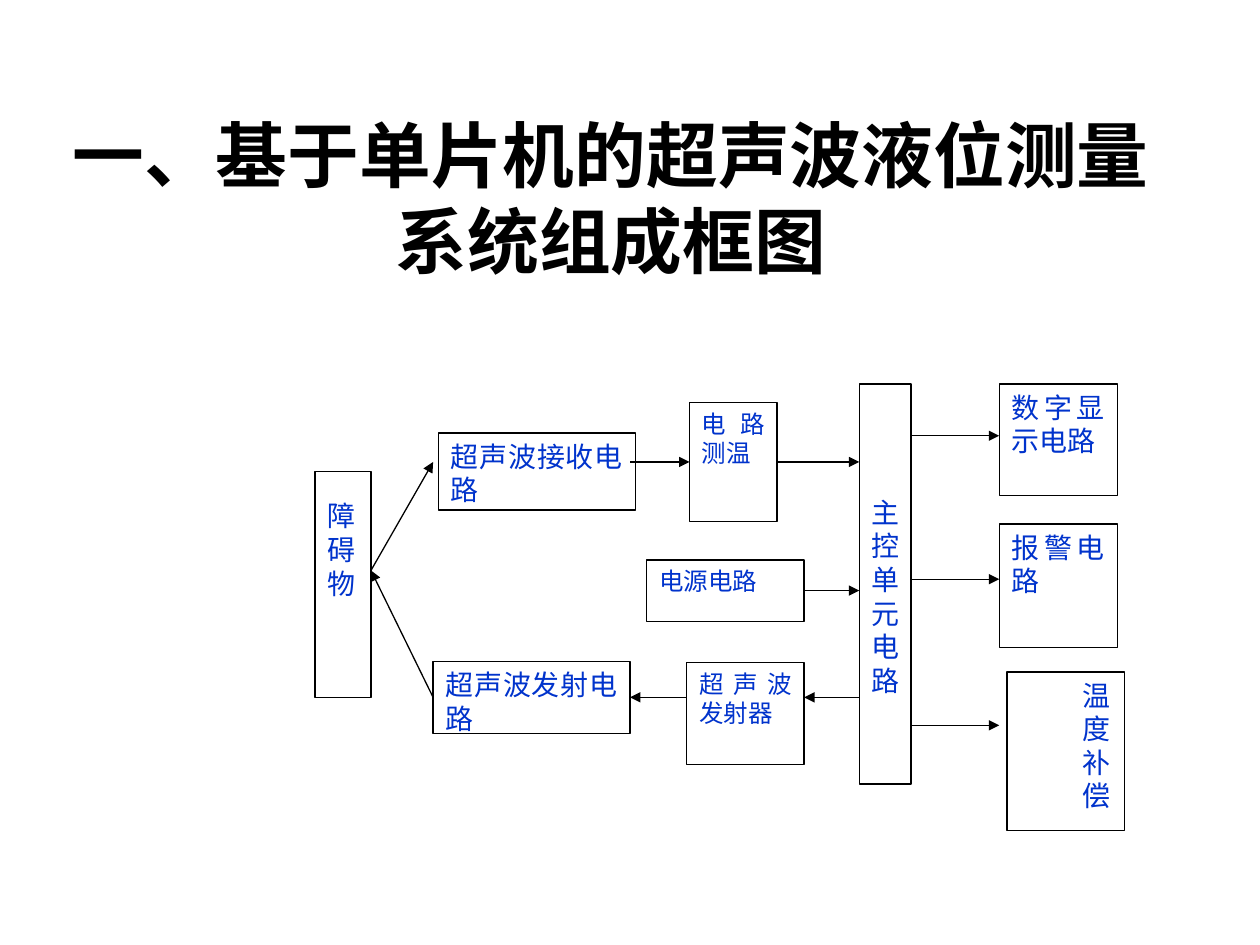
import pptx
import pptx.util
import pptx.dml.color
import pptx.enum.shapes
import pptx.enum.text
import pptx.oxml.ns
from lxml import etree

Pt = pptx.util.Pt
ALIGN = pptx.enum.text.PP_ALIGN
BLACK = pptx.dml.color.RGBColor(0, 0, 0)
WHITE = pptx.dml.color.RGBColor(255, 255, 255)
BLUE = pptx.dml.color.RGBColor(0x00, 0x33, 0xCC)
CJK = "Noto Sans CJK SC"
LEFT, RIGHT = 1, 3  # connection sites of a rectangle


def add_element(parent, tag, **attributes):
    return etree.SubElement(parent, pptx.oxml.ns.qn(tag), attributes)


class Diagram:
    """Holds the style and the slide being drawn."""

    line_width = Pt(0.75)

    def __init__(self, slide):
        self.slide = slide

    def label(self, frame, text, size, font, color, align, bold=False):
        frame.word_wrap = True
        frame.margin_left = frame.margin_right = Pt(7.2)
        frame.margin_top = frame.margin_bottom = Pt(3.6)
        paragraph = frame.paragraphs[0]
        paragraph.text = text
        paragraph.alignment = align
        run = paragraph.runs[0]
        run.font.size = Pt(size)
        run.font.name = font
        run.font.bold = bold
        run.font.color.rgb = color
        add_element(run._r.get_or_add_rPr(), "a:ea", typeface=CJK)

    def title(self, text, left, top, width, height):
        box = self.slide.shapes.add_textbox(Pt(left), Pt(top), Pt(width), Pt(height))
        frame = box.text_frame
        self.label(frame, text, 41, "Arial", BLACK, ALIGN.CENTER, bold=True)
        frame.vertical_anchor = pptx.enum.text.MSO_ANCHOR.MIDDLE

    def block(self, text, left, top, width, height, size=16, font="Calibri",
              align=ALIGN.JUSTIFY, drop=0, indent=0):
        box = self.slide.shapes.add_shape(
            pptx.enum.shapes.MSO_SHAPE.FLOWCHART_PROCESS,
            Pt(left), Pt(top), Pt(width), Pt(height))
        box.shadow.inherit = False
        box.fill.solid()
        box.fill.fore_color.rgb = WHITE
        box.line.color.rgb = BLACK
        box.line.width = self.line_width
        frame = box.text_frame
        self.label(frame, text, size, font, BLUE, align)
        frame.vertical_anchor = pptx.enum.text.MSO_ANCHOR.TOP
        frame.margin_top = Pt(3.6 + drop)
        if indent:
            properties = frame.paragraphs[0]._p.get_or_add_pPr()
            properties.set("marL", str(Pt(indent)))
            properties.set("indent", "0")
        return box

    def arrow(self, x1, y1, x2, y2, begin=None, end=None):
        """begin and end are optional (block, side) pairs to join."""
        line = self.slide.shapes.add_connector(
            pptx.enum.shapes.MSO_CONNECTOR.STRAIGHT, Pt(x1), Pt(y1), Pt(x2), Pt(y2))
        line.line.color.rgb = BLACK
        line.line.width = self.line_width
        properties = line._element.spPr
        add_element(properties.find(pptx.oxml.ns.qn("a:ln")), "a:tailEnd", type="triangle")
        add_element(properties, "a:effectLst")
        if begin:
            line.begin_connect(*begin)
        if end:
            line.end_connect(*end)


def main():
    deck = pptx.Presentation()
    deck.slide_width, deck.slide_height = Pt(720), Pt(540)
    diagram = Diagram(deck.slides.add_slide(deck.slide_layouts[6]))

    # Heading
    diagram.title("一、基于单片机的超声波液位测量系统组成框图", 19.5, 83, 659.5, 59)

    # Obstacle and ultrasonic path
    diagram.block("障碍物", 180, 269.5, 32, 129, drop=12)
    diagram.block("超声波接收电路", 250.5, 247.5, 112.5, 44, font=CJK)
    transmitter = diagram.block("超声波发射电路", 247.5, 378, 112.5, 41)
    thermometer = diagram.block("电路测温", 394, 230, 50, 68, size=14)
    power = diagram.block("电源电路", 369.5, 320, 90, 35, size=14)
    diagram.block("超声波发射器", 392.5, 378.5, 67, 58.5, size=14)

    # Controller and its outputs
    diagram.block("主控单元电路", 491, 219.5, 29.5, 228.5, drop=60)
    diagram.block("数字显示电路", 571, 219.5, 67.5, 63.5)
    diagram.block("报警电路", 571, 299.5, 67.5, 70.5)
    diagram.block("温度补偿", 575.5, 384, 67, 90.5, font="Arial",
                  align=ALIGN.LEFT, indent=36)

    # Receiving row and power supply
    receive_y, power_y, send_y, echo_y = 264, 337.5, 398.5, 326
    diagram.arrow(212, echo_y, 247.5, receive_y)
    diagram.arrow(360, receive_y, 394, receive_y, end=(thermometer, LEFT))
    diagram.arrow(444, receive_y, 491, receive_y, begin=(thermometer, RIGHT))
    diagram.arrow(459.5, power_y, 491, power_y, begin=(power, RIGHT))

    # Controller outputs
    for output_y in (249, 331, 414.5):
        diagram.arrow(520.5, output_y, 571, output_y)

    # Sending row, back to the obstacle
    diagram.arrow(491, send_y, 459.5, send_y)
    diagram.arrow(392.5, send_y, 360, send_y, end=(transmitter, RIGHT))
    diagram.arrow(247.5, send_y, 212, echo_y, begin=(transmitter, LEFT))

    deck.save("out.pptx")


if __name__ == "__main__":
    main()
